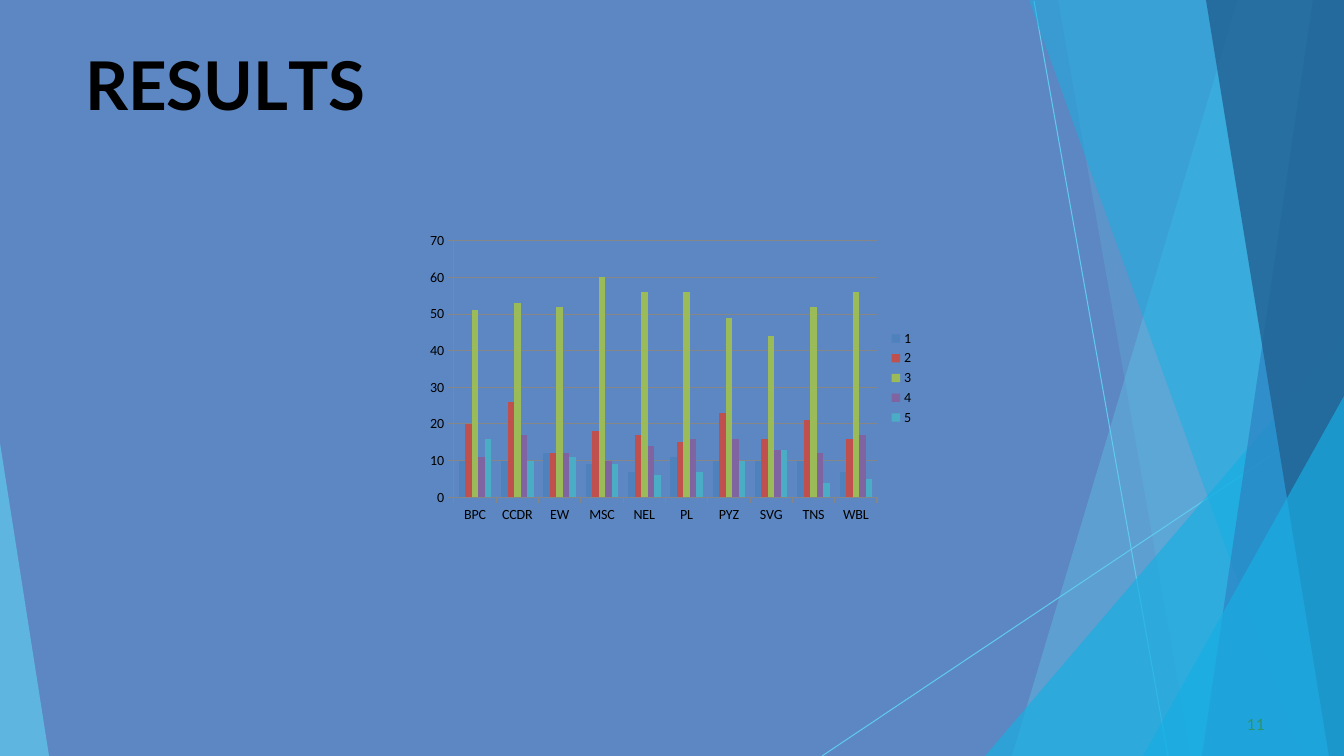
from lxml.etree import SubElement
from pptx import Presentation
from pptx.chart.data import CategoryChartData
from pptx.dml.color import RGBColor
from pptx.enum.chart import XL_CHART_TYPE, XL_LEGEND_POSITION, XL_TICK_MARK
from pptx.enum.shapes import MSO_CONNECTOR
from pptx.oxml.ns import qn
from pptx.util import Pt

W, H = 1344, 756
UNIT = 914400 / 100.8

COLORS = {
    "back": "5D87C2", "sky": "5FCAEE", "cyan": "17AFE3", "blue": "2D83C3",
    "navy": "226192", "ink": "000000", "page": "2D936B", "grid": "868686",
}
LINES = [(1034, 1, 1168, H), (W, 407, 822, H)]
FACETS = [
    ("sky", 36, [(W, 0), (1238, 0), (1012, H), (W, H)]),
    ("sky", 20, [(W, 0), (1058, 0), (1191, H), (W, H)]),
    ("cyan", 66, [(W, 336), (985, H), (W, H)]),
    ("cyan", 50, [(W, 0), (1029, 0), (1301, H), (W, H)]),
    ("blue", 70, [(W, 0), (1313, 0), (1202, H), (W, H)]),
    ("navy", 80, [(W, 0), (1206, 0), (1329, H), (W, H)]),
    ("cyan", 66, [(W, 396), (1143, H), (W, H)]),
    ("sky", 70, [(0, 443), (0, H), (49, H)]),
]
TEXTS = [
    ((84, 42, 395, 82), 1, 48, True, "ink", 1.1,
     [("R", 0), ("E", -40), ("S", 10), ("U", -30), ("L", -400), ("TS", 0)]),
    ((1243, 714, 25, 21), 4, 11, False, "page", 0.6, [("11", 10)]),
]
CHART = (420, 227, 504, 302)
CATS = ["BPC", "CCDR", "EW", "MSC", "NEL", "PL", "PYZ", "SVG", "TNS", "WBL"]
SERIES = [
    ("1", "4F81BD", [10, 10, 12, 9, 7, 11, 10, 10, 10, 7]),
    ("2", "C0504D", [20, 26, 12, 18, 17, 15, 23, 16, 21, 16]),
    ("3", "9BBB59", [51, 53, 52, 60, 56, 56, 49, 44, 52, 56]),
    ("4", "8064A2", [11, 17, 12, 10, 14, 16, 16, 13, 12, 17]),
    ("5", "4BACC6", [16, 10, 11, 9, 6, 7, 10, 13, 4, 5]),
]


def px(*nums):
    return [round(n * UNIT) for n in nums]


def tint(name):
    return RGBColor.from_string(COLORS[name])


def add_line(slide, ends):
    line = slide.shapes.add_connector(MSO_CONNECTOR.STRAIGHT, *px(*ends))
    line.line.color.rgb = tint("sky")
    line.line.width = Pt(0.75)
    SubElement(line._element.spPr, qn("a:effectLst"))


def add_facet(slide, color, alpha, points):
    form = slide.shapes.build_freeform(*points[0], scale=UNIT)
    form.add_line_segments(points[1:], close=True)
    shape = form.convert_to_shape()
    shape.shadow.inherit = False
    shape.line.fill.background()
    shape.fill.solid()
    shape.fill.fore_color.rgb = tint(color)
    fill = shape._element.spPr.find(qn("a:solidFill"))
    SubElement(fill[0], qn("a:alpha")).set("val", str(alpha * 1000))


def add_text(slide, box, inset, size, bold, color, before, runs):
    frame = slide.shapes.add_textbox(*px(*box)).text_frame
    frame.word_wrap = True
    frame.margin_left, frame.margin_top = px(inset, 1)
    frame.margin_right = frame.margin_bottom = 0
    para = frame.paragraphs[0]
    para.space_before = Pt(before)
    font = para.font
    font.name, font.size, font.bold = "Lato", Pt(size), bold
    font.color.rgb = tint(color)
    for text, gap in runs:
        run = para.add_run()
        run.text = text
        run._r.get_or_add_rPr().set("spc", str(gap))


def add_bars(slide):
    data = CategoryChartData()
    data.categories = CATS
    for name, _, vals in SERIES:
        data.add_series(name, vals)
    chart = slide.shapes.add_chart(
        XL_CHART_TYPE.COLUMN_CLUSTERED, *px(*CHART), data).chart
    chart.has_title = False
    chart.font.name, chart.font.size = "Calibri", Pt(10)
    chart.font.color.rgb = tint("ink")
    chart.has_legend = True
    chart.legend.position = XL_LEGEND_POSITION.RIGHT
    chart.legend.include_in_layout = False
    plot = chart.plots[0]
    plot.gap_width, plot.overlap, plot.vary_by_categories = 150, 0, False
    for bars, (_, color, _) in zip(plot.series, SERIES):
        bars.format.fill.solid()
        bars.format.fill.fore_color.rgb = RGBColor.from_string(color)
    rule = chart.value_axis
    rule.minimum_scale, rule.maximum_scale, rule.major_unit = 0, 70, 10
    rule.has_major_gridlines = True
    for axis in (chart.category_axis, rule):
        axis.major_tick_mark = XL_TICK_MARK.OUTSIDE
    for part in (chart.category_axis, rule, rule.major_gridlines):
        part.format.line.color.rgb = tint("grid")
        part.format.line.width = Pt(0.75)


def main():
    deck = Presentation()
    deck.slide_width, deck.slide_height = px(W, H)
    slide = deck.slides.add_slide(deck.slide_layouts[6])
    slide.background.fill.solid()
    slide.background.fill.fore_color.rgb = tint("back")
    for ends in LINES:
        add_line(slide, ends)
    for facet in FACETS:
        add_facet(slide, *facet)
    for text in TEXTS:
        add_text(slide, *text)
    add_bars(slide)
    deck.save("out.pptx")


if __name__ == "__main__":
    main()
